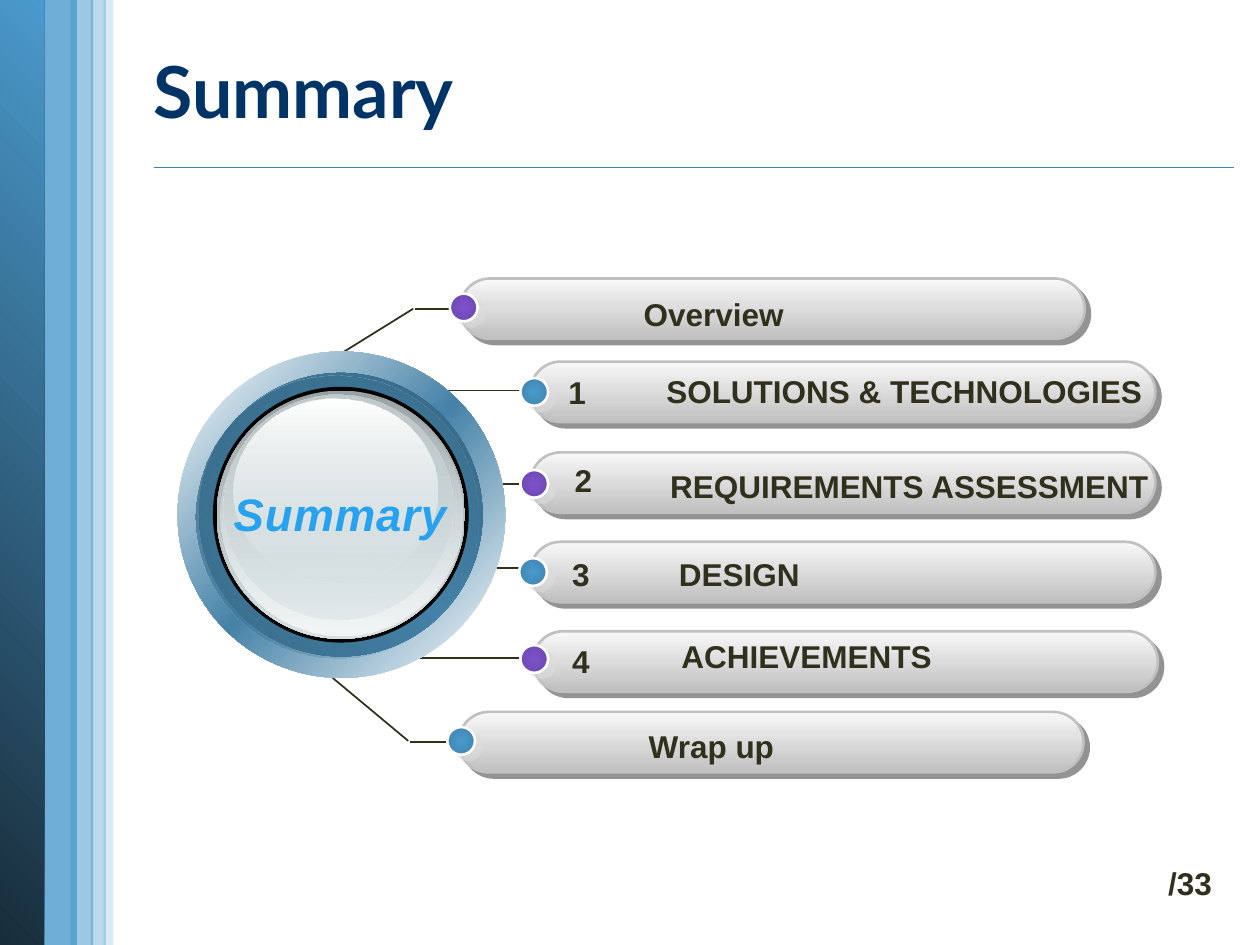
from dataclasses import dataclass
from pptx import Presentation
from pptx.dml.color import RGBColor
from pptx.enum.shapes import MSO_CONNECTOR, MSO_SHAPE
from pptx.enum.text import MSO_ANCHOR, MSO_AUTO_SIZE, PP_ALIGN
from pptx.oxml import parse_xml
from pptx.oxml.ns import nsdecls
from pptx.util import Inches, Pt


@dataclass
class Theme:
    ink: str = "30311D"
    navy: str = "003366"
    steel: str = "4582A7"
    sky: str = "4A9ACC"
    bright: str = "26A2F0"
    mist: str = "D6E1E2"
    white: str = "FFFFFF"
    silver: str = "C0C0C0"
    heading_font: str = "Lato"
    body_font: str = "Arial"
    heading_size: int = 41
    dial_size: int = 26
    body_size: int = 18


theme = Theme()
deck = Presentation()
deck.slide_width, deck.slide_height = Inches(10), Inches(7.5)
slide = deck.slides.add_slide(deck.slide_layouts[6])
CELL = deck.slide_width / 100  # grid of 100 columns by 75 rows


def draw(preset, box, stops, angle=None, line=None, shadow=None):
    """Stops are (position, colour, opacity); one stop is solid, no angle is radial.

    Shadow is (colour, distance in points, direction in degrees).
    """
    shape = slide.shapes.add_shape(preset, *(int(v * CELL) for v in box))
    shape.shadow.inherit = False
    colours = [f'<a:srgbClr val="{c}"><a:alpha val="{a * 1000}"/></a:srgbClr>' for _, c, a in stops]
    if len(stops) == 1:
        fill = f'<a:solidFill {nsdecls("a")}>{colours[0]}</a:solidFill>'
    else:
        marks = "".join(f'<a:gs pos="{stop[0] * 1000}">{colour}</a:gs>'
                        for stop, colour in zip(stops, colours))
        course = (f'<a:lin ang="{angle * 60000}" scaled="0"/>' if angle is not None else
                  '<a:path path="circle"><a:fillToRect l="50000" t="50000" r="50000" b="50000"/></a:path>')
        fill = f'<a:gradFill {nsdecls("a")} rotWithShape="1"><a:gsLst>{marks}</a:gsLst>{course}</a:gradFill>'
    properties = shape._element.spPr
    properties.prstGeom.addnext(parse_xml(fill))
    if line:
        shape.line.color.rgb = RGBColor.from_string(line)
        shape.line.width = Pt(1.5)
    else:
        shape.line.fill.background()
    if shadow:
        colour, distance, direction = shadow
        properties.effectLst.append(parse_xml(
            f'<a:outerShdw {nsdecls("a")} dist="{int(Pt(distance))}" dir="{direction * 60000}" '
            f'algn="ctr" rotWithShape="0"><a:srgbClr val="{colour}"><a:alpha val="50000"/>'
            '</a:srgbClr></a:outerShdw>'))
    return shape


def write(text, box, size=theme.body_size, font=theme.body_font, colour=theme.ink,
          align=PP_ALIGN.LEFT, wrap=False):
    frame = slide.shapes.add_textbox(*(int(v * CELL) for v in box)).text_frame
    frame.word_wrap = wrap
    frame.auto_size = MSO_AUTO_SIZE.SHAPE_TO_FIT_TEXT
    paragraph = frame.paragraphs[0]
    paragraph.text = text
    paragraph.alignment = align
    paragraph.font.size, paragraph.font.name, paragraph.font.bold = Pt(size), font, True
    paragraph.font.color.rgb = RGBColor.from_string(colour)
    return frame


# Side stripes
for left, width, opacity in [(3, 3.1, 80), (8.2, 0.8, 20), (5.6, 1.8, 54), (7.2, 1.2, 37)]:
    draw(MSO_SHAPE.RECTANGLE, (left, 0, width, 75), [(0, theme.sky, opacity)])
draw(MSO_SHAPE.RECTANGLE, (0, 0, 3.5, 75), [(0, "182C3A", 100), (100, theme.sky, 100)], 315)

# Title, page count
title = write("Summary", (11.2, 1.6, 87, 11.1), theme.heading_size, theme.heading_font,
              theme.navy, wrap=True)
title.auto_size = MSO_AUTO_SIZE.NONE
title.vertical_anchor = MSO_ANCHOR.MIDDLE
write("/33", (91.7, 68.1, 5.5, 4), align=PP_ALIGN.CENTER)

# Title rule, then the branches from the dial to the agenda
branches = [
    (32.9, 24.5, 36.9, 24.5), (27, 28.1, 32.8, 24.5), (30.6, 31, 42.1, 31),
    (36.2, 38.4, 42.1, 38.4), (35.5, 45.1, 42.1, 45.1), (28.7, 52.2, 42.4, 52.2),
    (26.4, 53.8, 32.4, 58.8), (32.5, 58.9, 36.3, 58.9),
]
for colour, ends in [(theme.steel, (12.2, 13.3, 97.9, 13.3))] + [(theme.ink, b) for b in branches]:
    connector = slide.shapes.add_connector(MSO_CONNECTOR.STRAIGHT, *(int(v * CELL) for v in ends))
    connector.line.color.rgb = RGBColor.from_string(colour)
    connector.line.width = Pt(1)
    connector._element.spPr.append(parse_xml(f'<a:effectLst {nsdecls("a")}/>'))

# Dial, from the outer ring to the glass highlight
dial = [
    ((14.1, 27.9, 26, 25.9), [(0, theme.white, 100), (50, theme.steel, 100), (100, theme.white, 100)], 45),
    ((15.8, 29.6, 22.5, 22.5), [(0, "356480", 100), (50, theme.steel, 100), (100, "356480", 100)], 315),
    ((15.5, 29.8, 22.5, 22.5), [(0, "396B89", 100), (100, theme.steel, 0)], 45),
    ((16.9, 30.7, 20.3, 20.3), [(0, "000000", 100)], None),
    ((17.2, 31, 19.7, 19.7), [(0, "99A1A2", 100), (100, theme.mist, 100)], 90),
    ((17.5, 31.2, 19.2, 19.2), [(0, theme.mist, 0), (100, "F2F5F5", 100)], 90),
    ((17.7, 31.3, 18.2, 17.9), [(0, "C1CBCC", 100), (100, theme.mist, 48)], 90),
    ((18.5, 31.6, 16.2, 14.6), [(0, theme.white, 100), (100, theme.mist, 38)], 90),
]
for box, stops, angle in dial:
    draw(MSO_SHAPE.OVAL, box, stops, angle)
caption = write("Summary", (17, 38.1, 20, 5.4), theme.dial_size, colour=theme.bright,
                align=PP_ALIGN.CENTER, wrap=True).paragraphs[0]
caption.font.italic = True
caption.font._rPr.set("spc", "50")

# Agenda: label, its box; number, its left and top; pill left and top; dot left and top
agenda = [
    ("Overview", (50.1, 22.9, 13.2, 4), None, (36.5, 22.1), (35.7, 23.3)),
    ("SOLUTIONS & TECHNOLOGIES", (51.9, 29, 50.3, 4), ("1", 44.1, 29.1), (42.1, 28.7), (41.3, 30)),
    ("REQUIREMENTS ASSESSMENT", (52.2, 36.6, 41.1, 4), ("2", 44.6, 36.1), (42.1, 35.9), (41.3, 37.3)),
    ("DESIGN", (52.9, 43.6, 11.7, 4), ("3", 44.4, 43.6), (42.1, 43), (41.2, 44.3)),
    ("ACHIEVEMENTS", (53.1, 50.1, 22.1, 4), ("4", 44.4, 50.5), (42.3, 50.1), (41.3, 51.2)),
    ("Wrap up", (50.5, 57.2, 12.1, 4), None, (36.4, 56.5), (35.5, 57.7)),
]
dot_fills = [
    [(0, "7E52CC", 100), (100, "6A45AB", 100)],
    [(0, theme.sky, 100), (100, "3E81AB", 100)],
]
for row, (label, label_box, number, pill, dot) in enumerate(agenda):
    bar = draw(MSO_SHAPE.ROUNDED_RECTANGLE, (*pill, 49.6, 4.8),
               [(0, "F8F8F8", 100), (100, theme.silver, 100)], 90,
               theme.silver, ("292929", 4.2, 45))
    bar.adjustments[0] = 0.5
    draw(MSO_SHAPE.OVAL, (*dot, 2.2, 2.2), dot_fills[row % 2], line=theme.white,
         shadow=("DDDDDD", 5, 37))
    write(label, label_box, wrap=row == 1)
    if number:
        digit, left, top = number
        write(digit, (left, top, 3.4, 4), align=PP_ALIGN.CENTER)

deck.save("out.pptx")
